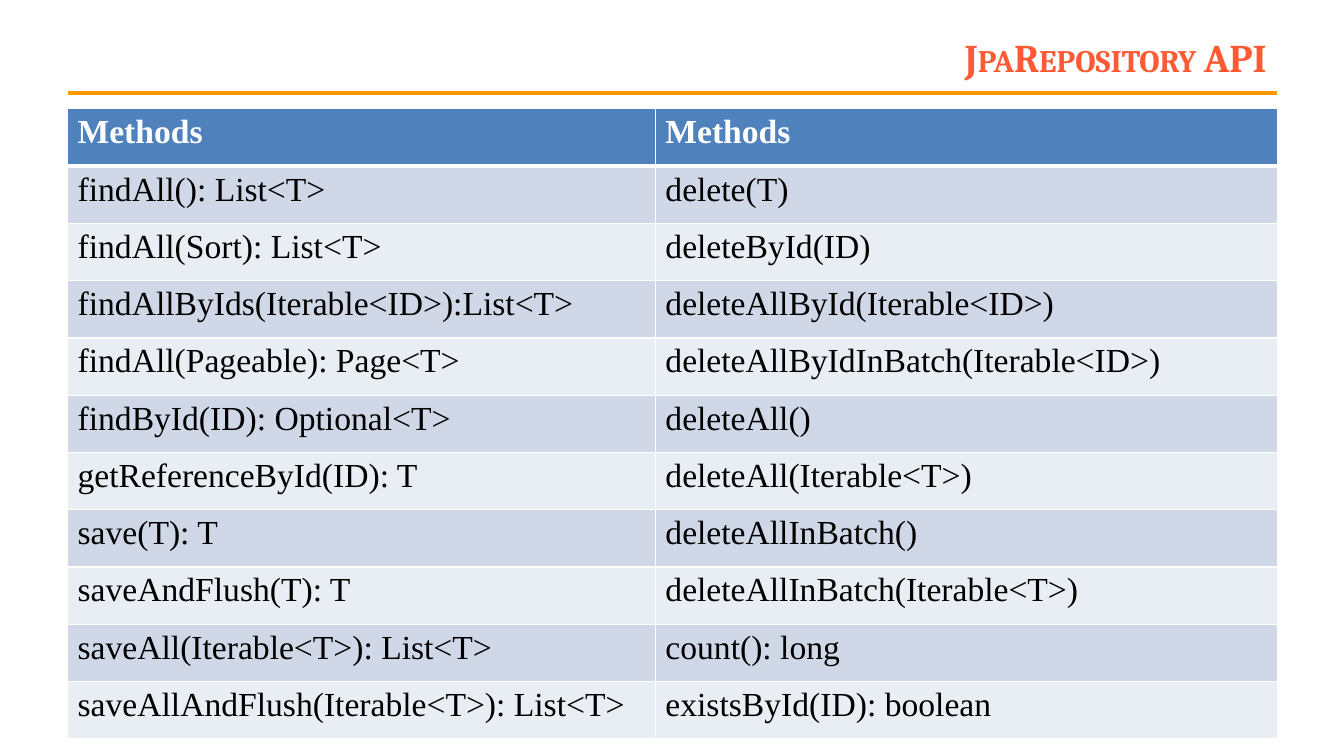
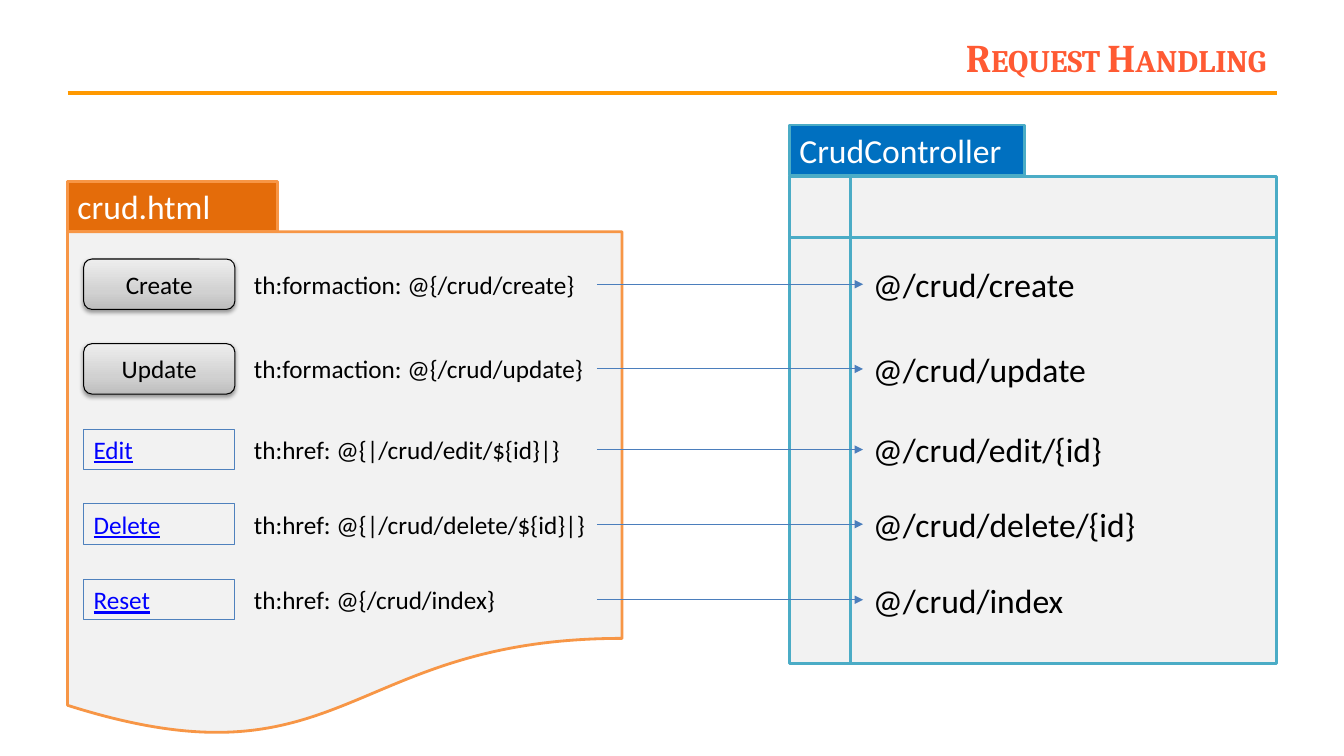
import copy

import pptx
import pptx.dml.color
import pptx.enum.shapes
import pptx.enum.text
import pptx.oxml
import pptx.oxml.ns
import pptx.util
from pptx.util import Inches

COLORS = {
    "title": "FF5A33", "rule": "FF9900", "white": "FFFFFF", "black": "000000",
    "header": "4F81BD", "band_dark": "D0D8E8", "band_light": "E9EDF4",
    "panel": "F2F2F2", "page": "F79646", "page_tab": "E46C0A",
    "controller": "4BACC6", "controller_tab": "0070C0",
    "link": "0000FF", "link_box": "4F81BD", "arrow": "4B7EBC",
}
BUTTON_STOPS = [(0, "BDBDBD"), (0.35, "D1D1D1"), (1, "EEEEEE")]
LEFT, RIGHT = 0.67, 12.67

SHAPE = pptx.enum.shapes.MSO_SHAPE
ALIGN = pptx.enum.text.PP_ALIGN
ANCHOR = pptx.enum.text.MSO_ANCHOR
qn = pptx.oxml.ns.qn
NS = pptx.oxml.ns.nsdecls("a")

METHODS = [
    ("Methods", "Methods"),
    ("findAll(): List<T>", "delete(T)"),
    ("findAll(Sort): List<T>", "deleteById(ID)"),
    ("findAllByIds(Iterable<ID>):List<T>", "deleteAllById(Iterable<ID>)"),
    ("findAll(Pageable): Page<T>", "deleteAllByIdInBatch(Iterable<ID>)"),
    ("findById(ID): Optional<T>", "deleteAll()"),
    ("getReferenceById(ID): T", "deleteAll(Iterable<T>)"),
    ("save(T): T", "deleteAllInBatch()"),
    ("saveAndFlush(T): T", "deleteAllInBatch(Iterable<T>)"),
    ("saveAll(Iterable<T>): List<T>", "count(): long"),
    ("saveAllAndFlush(Iterable<T>): List<T>", "existsById(ID): boolean"),
]

# centre line, control, its attribute, endpoint
REQUESTS = [
    (2.82, "Create", "th:formaction: @{/crud/create}", "@/crud/create"),
    (3.66, "Update", "th:formaction: @{/crud/update}", "@/crud/update"),
    (4.46, "Edit", "th:href: @{|/crud/edit/${id}|}", "@/crud/edit/{id}"),
    (5.2, "Delete", "th:href: @{|/crud/delete/${id}|}", "@/crud/delete/{id}"),
    (5.95, "Reset", "th:href: @{/crud/index}", "@/crud/index"),
]
BUTTONS = ("Create", "Update")


def rgb(value):
    return pptx.dml.color.RGBColor.from_string(value)


def write(tf, text, size=24, font="Calibri", color="black", bold=False,
          underline=False, small_caps=False, align=ALIGN.LEFT, anchor=ANCHOR.TOP):
    tf.word_wrap = True
    tf.vertical_anchor = anchor
    p = tf.paragraphs[0]
    p.alignment = align
    r = p.add_run()
    r.text = text
    r.font.name = font
    r.font.size = pptx.util.Pt(size)
    r.font.bold = bold
    r.font.underline = underline
    r.font.color.rgb = rgb(COLORS[color])
    if small_caps:
        r.font._element.set("cap", "small")


def add_text(s, x, y, w, h, text, **fmt):
    box = s.shapes.add_textbox(Inches(x), Inches(y), Inches(w), Inches(h))
    write(box.text_frame, text, **fmt)


def add_shape(s, kind, x, y, w, h, line, fill=None, weight=2.0):
    sp = s.shapes.add_shape(kind, Inches(x), Inches(y), Inches(w), Inches(h))
    sp.shadow.inherit = False
    if fill:
        sp.fill.solid()
        sp.fill.fore_color.rgb = rgb(COLORS[fill])
    else:
        sp.fill.background()
    sp.line.color.rgb = rgb(COLORS[line])
    sp.line.width = pptx.util.Pt(weight)
    return sp


def add_line(s, x1, x2, y, color, weight, arrow=False):
    """Draw a horizontal line, with an arrowhead at x2 if asked."""
    line = s.shapes.add_connector(pptx.enum.shapes.MSO_CONNECTOR.STRAIGHT,
                                  Inches(x1), Inches(y), Inches(x2), Inches(y))
    line.line.color.rgb = rgb(COLORS[color])
    line.line.width = pptx.util.Pt(weight)
    if arrow:
        line.line._get_or_add_ln().append(
            pptx.oxml.parse_xml(f'<a:tailEnd {NS} type="triangle"/>'))
    line._element.spPr.append(pptx.oxml.parse_xml(f"<a:effectLst {NS}/>"))


def add_button(s, x, y, w, h, text):
    """Draw a raised grey button."""
    sp = add_shape(s, SHAPE.ROUNDED_RECTANGLE, x, y, w, h, "black", weight=0.75)
    sp.fill.gradient()
    sp.fill.gradient_angle = 90
    stops = sp._element.spPr.find(qn("a:gradFill")).find(qn("a:gsLst"))
    stops.append(copy.deepcopy(stops[0]))
    for stop, (position, color) in zip(sp.fill.gradient_stops, BUTTON_STOPS):
        stop.position = position
        stop.color.rgb = rgb(color)
    sp._element.spPr.find(qn("a:effectLst")).append(pptx.oxml.parse_xml(
        f'<a:outerShdw {NS} blurRad="40000" dist="20000" dir="5400000" rotWithShape="0">'
        '<a:srgbClr val="000000"><a:alpha val="38000"/></a:srgbClr></a:outerShdw>'))
    write(sp.text_frame, text, size=18, align=ALIGN.CENTER, anchor=ANCHOR.MIDDLE)


def add_link(s, x, y, w, h, text):
    sp = add_shape(s, SHAPE.RECTANGLE, x, y, w, h, "link_box", weight=0.75)
    write(sp.text_frame, text, size=18, color="link", underline=True)


def add_tab(s, x, y, w, text, fill, line):
    sp = add_shape(s, SHAPE.RECTANGLE, x, y, w, 0.5, line, fill)
    write(sp.text_frame, text, color="white")


def set_borders(cell, **points):
    """Give a cell white borders; L, R, T and B are widths in points."""
    tcPr = cell._tc.get_or_add_tcPr()
    for side in "LRTB":
        width = pptx.util.Pt(points.get(side, 1))
        tcPr.append(pptx.oxml.parse_xml(
            f'<a:ln{side} {NS} w="{width}"><a:solidFill>'
            f'<a:srgbClr val="{COLORS["white"]}"/></a:solidFill></a:ln{side}>'))


def add_method_table(s, rows, x, y, widths, height):
    frame = s.shapes.add_table(len(rows), len(widths), Inches(x), Inches(y),
                               Inches(sum(widths)), Inches(height))
    table = frame.table
    for column, width in zip(table.columns, widths):
        column.width = Inches(width)
    for i, row in enumerate(rows):
        header = i == 0
        table.rows[i].height = Inches(height / len(rows))
        fill = "header" if header else "band_dark" if i % 2 else "band_light"
        for j, text in enumerate(row):
            cell = table.cell(i, j)
            set_borders(cell, T=3 if i == 1 else 1, B=3 if header else 1)
            cell.fill.solid()
            cell.fill.fore_color.rgb = rgb(COLORS[fill])
            write(cell.text_frame, text, font="Times New Roman", bold=header,
                  color="white" if header else "black")


def add_slide(prs, title):
    s = prs.slides.add_slide(prs.slide_layouts[6])
    add_line(s, LEFT, RIGHT, 0.92, "rule", 3)
    add_text(s, 2.44, 0.3, 10.22, 0.53, title, size=28, font="Cambria", color="title",
             bold=True, small_caps=True, align=ALIGN.RIGHT, anchor=ANCHOR.MIDDLE)
    return s


def add_request(s, middle, control, attribute, endpoint):
    """Draw one control, its attribute and the arrow to its endpoint."""
    if control in BUTTONS:
        add_button(s, 0.83, middle - 0.25, 1.5, 0.5, control)
    else:
        add_link(s, 0.83, middle - 0.2, 1.5, 0.4, control)
    add_text(s, 2.42, middle - 0.2, 3.5, 0.4, attribute, size=18)
    add_text(s, 8.56, middle - 0.25, 3.44, 0.5, endpoint)
    add_line(s, 5.92, 8.56, middle, "arrow", 0.75, arrow=True)


def build_api_slide(prs):
    s = add_slide(prs, "JpaRepository API")
    add_method_table(s, METHODS, LEFT, 1.08, (5.83, 6.17), 6.25)


def build_request_slide(prs):
    s = add_slide(prs, "Request Handling")
    add_shape(s, SHAPE.FLOWCHART_DOCUMENT, LEFT, 2.3, 5.5, 5.03, "page", "panel")
    add_shape(s, SHAPE.FLOWCHART_INTERNAL_STORAGE, 7.83, 1.75, 4.83, 4.83,
              "controller", "panel")
    add_tab(s, LEFT, 1.8, 2.08, "crud.html", "page_tab", "page")
    add_tab(s, 7.83, 1.24, 2.33, "CrudController", "controller_tab", "controller")
    for request in REQUESTS:
        add_request(s, *request)


def main():
    prs = pptx.Presentation()
    prs.slide_width, prs.slide_height = Inches(13.33), Inches(7.5)
    build_api_slide(prs)
    build_request_slide(prs)
    prs.save("out.pptx")


if __name__ == "__main__":
    main()
